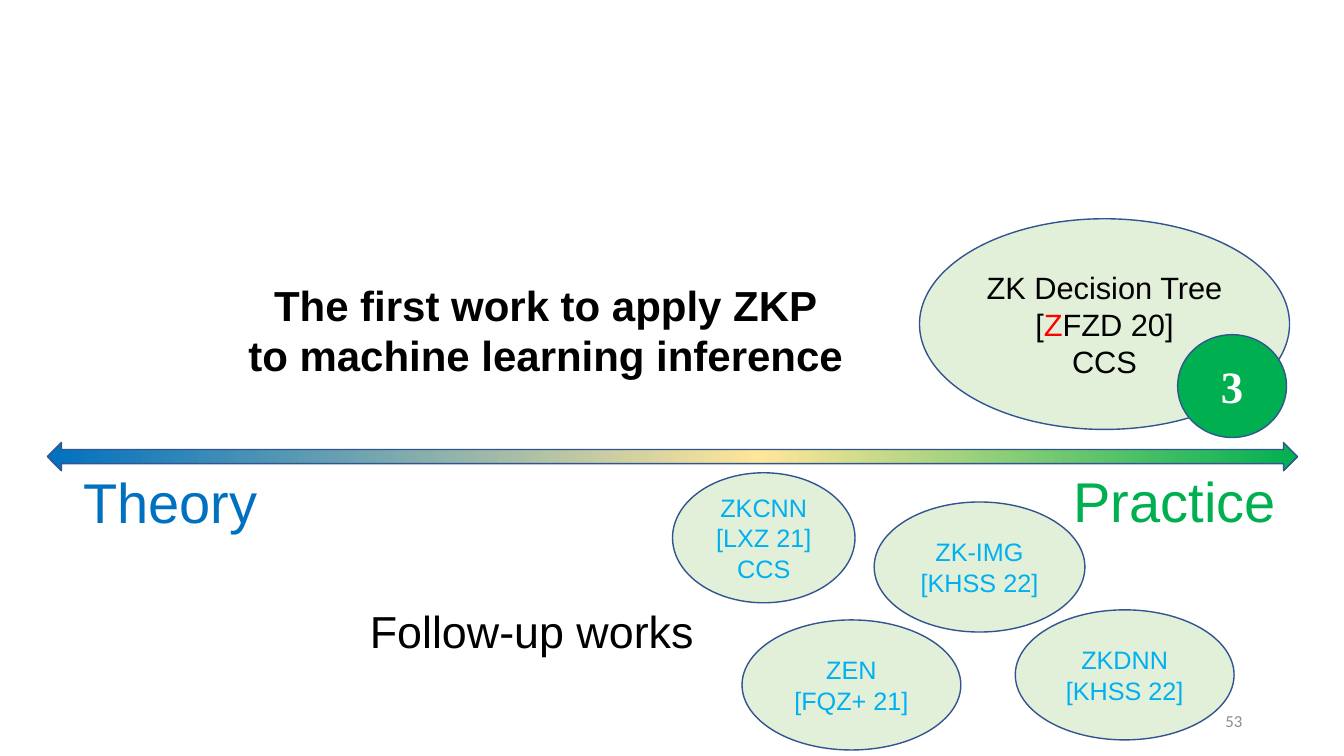
"""Build the slide placing zero-knowledge machine learning works between theory and practice."""
from dataclasses import dataclass

from lxml import etree
from pptx import Presentation
from pptx.dml.color import RGBColor
from pptx.enum.shapes import MSO_SHAPE as Preset
from pptx.enum.text import MSO_ANCHOR as Anchor, PP_ALIGN as Align
from pptx.oxml.ns import qn
from pptx.util import Inches, Pt


@dataclass(frozen=True)
class Theme:
    font: str = "Arial"
    number_font: str = "Calibri"
    badge_font: str = "Times New Roman"
    black: str = "000000"
    white: str = "FFFFFF"
    gray: str = "8C8C8C"
    red: str = "FF0000"
    blue: str = "0070C0"
    sky: str = "00B0F0"
    green: str = "00B050"
    sand: str = "FFE699"
    mint: str = "E2F0D9"
    outline: str = "325491"
    axis_size: int = 40
    label_size: int = 32
    claim_size: int = 30
    main_work_size: int = 22
    work_size: int = 18
    number_size: int = 12


theme = Theme()


def write_text(shape, text, size, color, font=theme.font, bold=False,
               align=Align.CENTER, anchor=Anchor.MIDDLE, highlight=""):
    """Fill a shape with one paragraph per line, showing the highlight in red."""
    frame = shape.text_frame
    frame.word_wrap = True
    frame.vertical_anchor = anchor
    for index, line in enumerate(text.split("\n")):
        paragraph = frame.paragraphs[0] if index == 0 else frame.add_paragraph()
        paragraph.alignment = align
        marked = highlight and line.startswith("[")
        pieces = line.partition(highlight) if marked else (line,)
        for piece in pieces:
            run = paragraph.add_run()
            run.text = piece
            run.font.name = font
            run.font.size = Pt(size)
            run.font.bold = bold
            shade = theme.red if marked and piece == highlight else color
            run.font.color.rgb = RGBColor.from_string(shade)


def add_outlined(preset, box, fill):
    """Add a preset shape with the common outline and a solid fill."""
    shape = slide.shapes.add_shape(preset, *map(Inches, box))
    shape.shadow.inherit = False
    shape.fill.solid()
    shape.fill.fore_color.rgb = RGBColor.from_string(fill)
    shape.line.color.rgb = RGBColor.from_string(theme.outline)
    shape.line.width = Pt(1)
    return shape


presentation = Presentation()
presentation.slide_width = Inches(13.33)
presentation.slide_height = Inches(7.5)
slide = presentation.slides.add_slide(presentation.slide_layouts[6])

follow_ups = [
    ("ZKCNN\n[LXZ 21]\nCCS", 6.67, 4.69, 1.81),
    ("ZEN\n[FQZ+ 21]", 7.36, 6.15, 2.17),
    ("ZK-IMG\n[KHSS 22]", 8.67, 4.98, 2.09),
    ("ZKDNN\n[KHSS 22]", 10.07, 6.05, 2.17),
]
for name, left, top, width in follow_ups:
    work = add_outlined(Preset.OVAL, (left, top, width, 1.29), theme.mint)
    write_text(work, name, size=theme.work_size, color=theme.sky)

labels = [
    ("The first work to apply ZKP\nto machine learning inference", (1.75, 2.72, 7.33, 1.11),
     dict(size=theme.claim_size, color=theme.black, bold=True)),
    ("Follow-up works", (3.57, 5.94, 3.6, 0.64),
     dict(size=theme.label_size, color=theme.black, align=Align.LEFT)),
    ("Theory", (0.56, 4.59, 2.26, 0.77), dict(size=theme.axis_size, color=theme.blue)),
    ("Practice", (10.43, 4.58, 2.44, 0.77), dict(size=theme.axis_size, color=theme.green)),
    ("53", (9.42, 6.95, 3, 0.4),
     dict(size=theme.number_size, color=theme.gray, font=theme.number_font,
          align=Align.RIGHT, anchor=Anchor.MIDDLE)),
]
for text, box, style in labels:
    label = slide.shapes.add_textbox(*map(Inches, box))
    write_text(label, text, **{"anchor": Anchor.TOP, **style})

axis = add_outlined(Preset.LEFT_RIGHT_ARROW, (0.47, 4.39, 12.4, 0.28), theme.blue)
axis.fill.gradient()
axis.fill.gradient_angle = 0
stops = axis.element.spPr.find(qn("a:gradFill")).find(qn("a:gsLst"))
for stop in list(stops):
    stops.remove(stop)
for percent, color in ((0, theme.blue), (57, theme.sand), (100, theme.green)):
    stop = etree.SubElement(stops, qn("a:gs"), pos=str(percent * 1000))
    etree.SubElement(stop, qn("a:srgbClr"), val=color)

decision_tree = add_outlined(Preset.OVAL, (9.12, 2.17, 3.67, 2.09), theme.mint)
write_text(decision_tree, "ZK Decision Tree\n[ZFZD 20]\nCCS",
           size=theme.main_work_size, color=theme.black, highlight="Z")

badge = add_outlined(Preset.OVAL, (11.68, 3.32, 1.08, 1.02), theme.green)
write_text(badge, "3", size=theme.label_size, color=theme.white,
           font=theme.badge_font, bold=True)

presentation.save("out.pptx")
